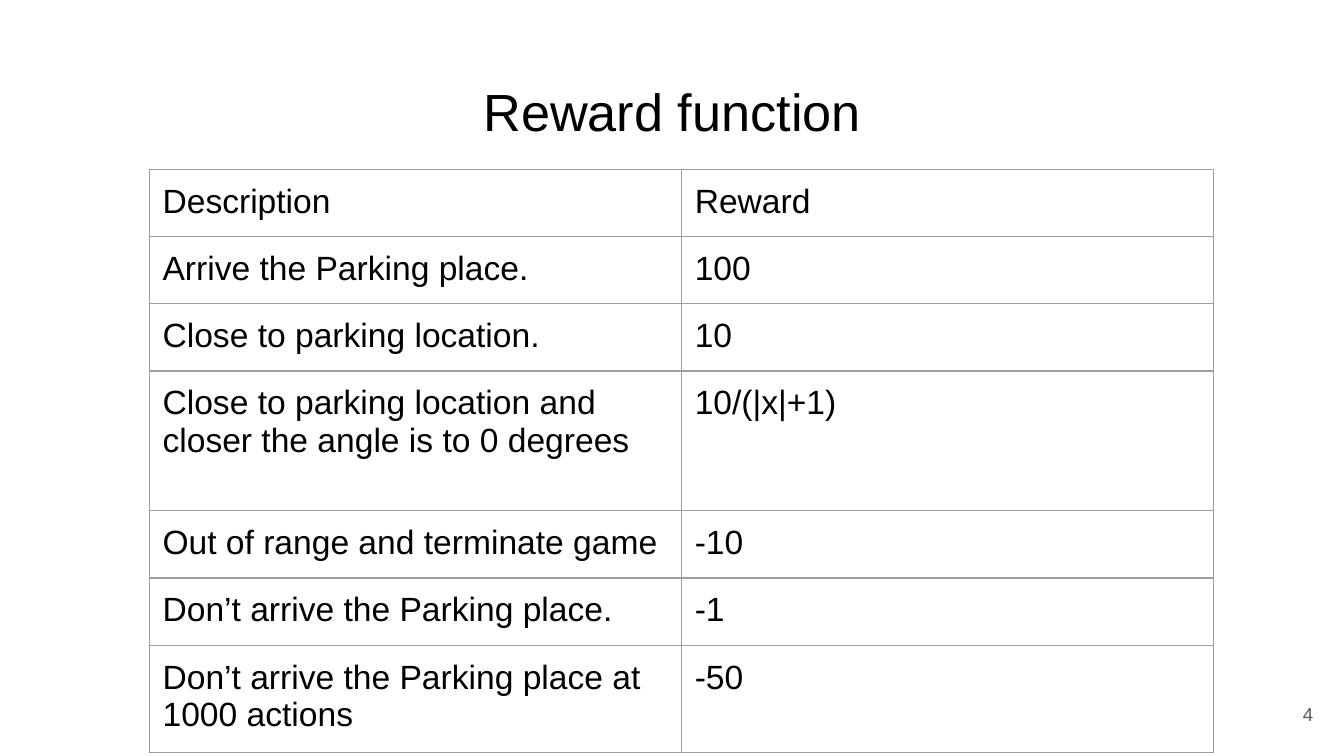
from lxml.etree import SubElement
from pptx import Presentation
from pptx.dml.color import RGBColor
from pptx.enum.text import MSO_ANCHOR, PP_ALIGN
from pptx.oxml.ns import qn
from pptx.util import Inches, Pt

COLORS = {"paper": "FFFFFF", "ink": "000000", "muted": "595959", "rule": "9E9E9E"}


def write(frame, text, size=18, color="ink", align=PP_ALIGN.LEFT):
    """Put one formatted line of text into a text frame."""
    paragraph = frame.paragraphs[0]
    paragraph.alignment = align
    paragraph.line_spacing = 1.0
    paragraph.space_before = paragraph.space_after = Pt(0)
    run = paragraph.add_run()
    run.text = text
    run.font.name = "Arial"
    run.font.size = Pt(size)
    run.font.color.rgb = RGBColor.from_string(COLORS[color])


class Deck:
    """Slide style on a grid of 100 columns; cells are square."""

    COLUMNS = 100
    PADDING = 1

    def __init__(self, width, height):
        self.presentation = Presentation()
        self.presentation.slide_width = Inches(width)
        self.presentation.slide_height = Inches(height)
        self.unit = Inches(width) / self.COLUMNS
        self.slide = self.presentation.slides.add_slide(
            self.presentation.slide_layouts[6])
        fill = self.slide.background.fill
        fill.solid()
        fill.fore_color.rgb = RGBColor.from_string(COLORS["paper"])

    def grid(self, *lengths):
        return [round(length * self.unit) for length in lengths]

    def pad(self, holder):
        padding, = self.grid(self.PADDING)
        holder.margin_left = holder.margin_right = padding
        holder.margin_top = holder.margin_bottom = padding

    def text(self, text, box, anchor=MSO_ANCHOR.TOP, **style):
        frame = self.slide.shapes.add_textbox(*self.grid(*box)).text_frame
        frame.word_wrap = True
        frame.vertical_anchor = anchor
        self.pad(frame)
        write(frame, text, **style)

    def border(self, cell):
        properties = cell._tc.get_or_add_tcPr()
        for side in ("lnL", "lnR", "lnT", "lnB"):
            line = SubElement(properties, qn(f"a:{side}"), w=str(Pt(0.75)))
            fill = SubElement(line, qn("a:solidFill"))
            SubElement(fill, qn("a:srgbClr"), val=COLORS["rule"])

    def table(self, rows, left, top, column_width, heights):
        count = len(rows[0])
        box = self.grid(left, top, count * column_width, sum(heights))
        table = self.slide.shapes.add_table(len(rows), count, *box).table
        table.first_row = table.horz_banding = False
        for column in table.columns:
            column.width, = self.grid(column_width)
        for row, height, values in zip(table.rows, heights, rows):
            row.height, = self.grid(height)
            for cell, value in zip(row.cells, values):
                self.pad(cell)
                self.border(cell)
                cell.fill.background()
                write(cell.text_frame, value)


# Widescreen, 16 to 9
deck = Deck(10, 10 * 9 / 16)

# Title
deck.text("Reward function", (3.4, 4.9, 93.2, 6.3), size=28, align=PP_ALIGN.CENTER)

# Slide number
deck.text("4", (92.7, 51, 6, 4.3), anchor=MSO_ANCHOR.MIDDLE,
          size=10, color="muted", align=PP_ALIGN.RIGHT)

# Rewards: rows grow with their text, the angle row is taller
ROW, TALL_ROW = 4.2, 10.4
rewards = [
    ("Description", "Reward"),
    ("Arrive the Parking place.", "100"),
    ("Close to parking location.", "10"),
    ("Close to parking location and closer the angle is to 0 degrees", "10/(|x|+1)"),
    ("Out of range and terminate game", "-10"),
    ("Don’t arrive the Parking place.", "-1"),
    ("Don’t arrive the Parking place at 1000 actions", "-50"),
]
deck.table(rewards, left=11.1, top=12.6, column_width=39.6,
           heights=[TALL_ROW if "angle" in name else ROW for name, _ in rewards])

deck.presentation.save("out.pptx")
